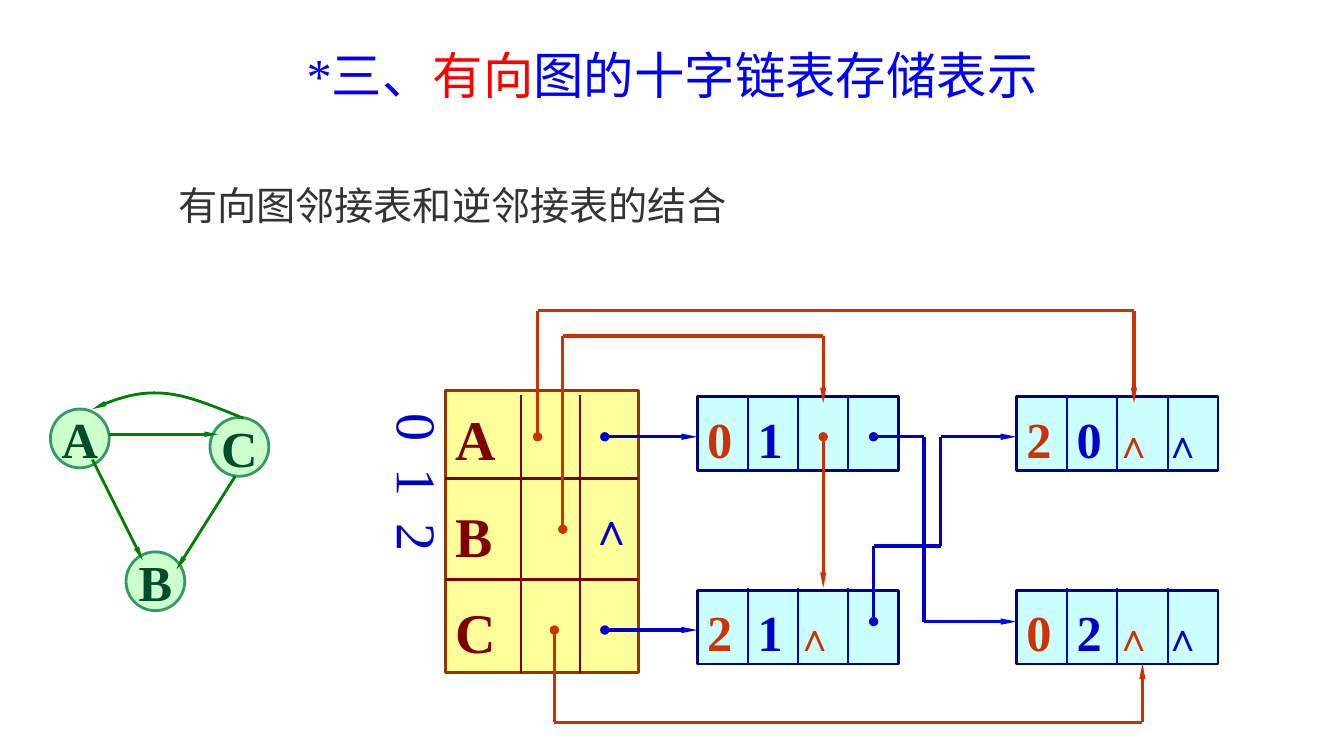
from itertools import pairwise

from lxml import etree
from pptx import Presentation
from pptx.dml.color import RGBColor
from pptx.enum.shapes import MSO_CONNECTOR, MSO_SHAPE
from pptx.enum.text import MSO_ANCHOR, MSO_AUTO_SIZE, PP_ALIGN
from pptx.oxml.ns import qn
from pptx.util import Inches, Pt

RECTANGLE, OVAL = MSO_SHAPE.RECTANGLE, MSO_SHAPE.OVAL
STRAIGHT = MSO_CONNECTOR.STRAIGHT
TOP, MIDDLE = MSO_ANCHOR.TOP, MSO_ANCHOR.MIDDLE
LEFT, CENTER = PP_ALIGN.LEFT, PP_ALIGN.CENTER
FIXED = MSO_AUTO_SIZE.NONE

WIDTH, HEIGHT = Inches(13.33), Inches(7.5)
COLUMNS, ROWS = 160, 90
FONT = "Times New Roman"
NIL = "∧"
COLORS = {
    "blue": "0000FF", "red": "FF0000", "gray": "333333",
    "vertex": "CCFFCC", "vertex_line": "339966", "vertex_text": "004C2B", "edge": "008000",
    "header": "FFFF99", "header_line": "993300", "header_text": "800000",
    "node": "CCFFFF", "node_line": "000080", "out": "0000CC", "in": "CC3300",
}


def x(column):
    """Convert a grid column to a length."""
    return int(WIDTH * column / COLUMNS)


def y(row):
    """Convert a grid row to a length."""
    return int(HEIGHT * row / ROWS)


def color(name):
    """Look up a colour by name."""
    return RGBColor.from_string(COLORS[name])


def add_runs(paragraph, runs, bold=False):
    """Add (text, size, colour) runs to a paragraph."""
    for text, size, name in runs:
        run = paragraph.add_run()
        run.text = text
        run.font.name, run.font.size, run.font.bold = FONT, Pt(size), bold
        run.font.color.rgb = color(name)


def set_tabs(paragraph, inches, count):
    """Set evenly spaced tab stops on a paragraph."""
    stops = etree.SubElement(paragraph._p.get_or_add_pPr(), qn("a:tabLst"))
    for index in range(1, count + 1):
        etree.SubElement(stops, qn("a:tab"), pos=str(Inches(inches * index)), algn="l")


def style_line(shape, name, width, head=None, tail=None):
    """Set a line's colour, width and ends."""
    shape.line.color.rgb = color(name)
    shape.line.width = Pt(width)
    outline = shape._element.spPr.find(qn("a:ln"))
    if head:
        etree.SubElement(outline, qn("a:headEnd"), type=head)
    if tail:
        etree.SubElement(outline, qn("a:tailEnd"), type=tail, w="sm", len="lg")


def add_route(slide, origin, points, name, width=2.25, head=None, tail=None):
    """Join grid points, relative to an origin, with straight connectors."""
    left, top = origin
    segments = list(pairwise(points))
    for index, (start, end) in enumerate(segments):
        connector = slide.shapes.add_connector(
            STRAIGHT, x(left + start[0]), y(top + start[1]), x(left + end[0]), y(top + end[1]))
        style_line(connector, name, width, head if index == 0 else None,
                   tail if index == len(segments) - 1 else None)
        etree.SubElement(connector._element.spPr, qn("a:effectLst"))


def add_box(slide, kind, box, fill, line, width):
    """Add a filled, outlined shape in a grid box."""
    left, top, columns, rows = box
    shape = slide.shapes.add_shape(kind, x(left), y(top), x(columns), y(rows))
    shape.shadow.inherit = False
    shape.fill.solid()
    shape.fill.fore_color.rgb = color(fill)
    style_line(shape, line, width)
    return shape


def fill_placeholder(shape, box, runs):
    """Place a heading placeholder and write its runs."""
    left, top, columns, rows = box
    shape.left, shape.top, shape.width, shape.height = x(left), y(top), x(columns), y(rows)
    frame = shape.text_frame
    frame.auto_size, frame.word_wrap, frame.vertical_anchor = FIXED, True, TOP
    paragraph = frame.paragraphs[0]
    paragraph.alignment, paragraph.space_before = LEFT, Pt(0)
    properties = paragraph._p.get_or_add_pPr()
    properties.set("marL", "0")
    properties.set("indent", "0")
    etree.SubElement(properties, qn("a:buNone"))
    add_runs(paragraph, runs)


def add_label(slide, box, text, size, bold=False, vertical=False):
    """Add a blue text box, optionally with vertical text."""
    left, top, columns, rows = box
    frame = slide.shapes.add_textbox(x(left), y(top), x(columns), y(rows)).text_frame
    frame.word_wrap = True
    paragraph = frame.paragraphs[0]
    if vertical:
        frame._txBody.bodyPr.set("vert", "eaVert")
        set_tabs(paragraph, 0.55, 2)
    add_runs(paragraph, [(text, size, "out")], bold)


def add_graph(slide, origin):
    """Draw the directed graph with its three vertices."""
    left, top = origin
    for label, column, row in (("A", 0, 2.2), ("B", 9, 19.2), ("C", 19, 3.2)):
        vertex = add_box(slide, OVAL, (left + column, top + row, 7, 7), "vertex", "vertex_line", 2)
        frame = vertex.text_frame
        frame.word_wrap, frame.vertical_anchor = False, MIDDLE
        frame.paragraphs[0].alignment = CENTER
        add_runs(frame.paragraphs[0], [(label, 36, "vertex_text")], True)
    for edge in (((5, 8.2), (11, 20.2)), ((7, 5.2), (20, 5.2)), ((22, 10.2), (15, 21.3))):
        add_route(slide, origin, edge, "edge", 2, tail="triangle")
    curves = (((23, 3.3), (19.5, 1.9), (16.1, 0.4), (13.1, 0.3)),
              ((13.1, 0.3), (10.1, 0.1), (7.5, 1.1), (5, 2.2)))
    steps = 12
    points = []
    for curve in curves:
        for step in range(steps + 1):
            t = step / steps
            weights = ((1 - t) ** 3, 3 * t * (1 - t) ** 2, 3 * t * t * (1 - t), t ** 3)
            column, row = (sum(w * point[axis] for w, point in zip(weights, curve))
                           for axis in (0, 1))
            points.append((x(left + column), y(top + row)))
    builder = slide.shapes.build_freeform(*points[0])
    builder.add_line_segments(points[1:], close=False)
    arc = builder.convert_to_shape()
    arc.shadow.inherit = False
    arc.fill.background()
    style_line(arc, "edge", 2, tail="triangle")


def add_header_table(slide, box):
    """Draw the vertex list with its dividers and indices."""
    left, top, columns, rows = box
    frame = add_box(slide, RECTANGLE, box, "header", "header_line", 2.25).text_frame
    frame.vertical_anchor, frame.margin_top = TOP, Inches(0.14)
    for index, label in enumerate("ABC"):
        paragraph = frame.add_paragraph() if index else frame.paragraphs[0]
        paragraph.alignment = LEFT
        paragraph.space_before = Pt(21 if index else 0)
        add_runs(paragraph, [(label, 40, "header_text")], True)
    for row in (10.5, 22.5):
        add_route(slide, (left, top), ((0, row), (columns, row)), "header_text")
    for column in (9, 16):
        add_route(slide, (left, top), ((column, 0.5), (column, rows)), "header_text", 1.5)
    add_label(slide, (left - 9, top + 1.5, 10.5, 30), "0\t1\t2", 40, vertical=True)
    add_label(slide, (left + 16, top + 12.5, 7.8, 7.6), NIL, 32, bold=True)


def add_arc_node(slide, left, top, tail, head, nils):
    """Draw one arc node: tail, head and its empty links."""
    columns, rows, cell = 24, 8.8, 6
    box = (left, top, columns, rows)
    frame = add_box(slide, RECTANGLE, box, "node", "node_line", 2).text_frame
    frame.vertical_anchor, frame.margin_top = TOP, Inches(0.11)
    paragraph = frame.paragraphs[0]
    paragraph.alignment = LEFT
    set_tabs(paragraph, 0.5, 1)
    links = [(" " + NIL, 28, name) for name in ("in", "out")[:nils]]
    add_runs(paragraph, [(tail, 36, "in"), ("\t" + head, 36, "out")], True)
    if links:
        add_runs(paragraph, [(" ", 36, "out"), (NIL, 28, "in")] + links[1:], True)
    for column in range(cell, columns, cell):
        add_route(slide, (left, top), ((column, -0.25), (column, rows)), "out", 1.5)


def add_links(slide, origin):
    """Draw the outgoing and incoming arc chains."""
    routes = (
        ("out", ((19, 15), (30, 15))),
        ("out", ((19, 38), (30, 38))),
        ("out", ((51, 37), (51, 28), (59, 28), (59, 15), (68, 15))),
        ("in", ((11, 15), (11, 0), (82, 0), (82, 11))),
        ("in", ((45, 15), (45, 33))),
        ("in", ((14, 26), (14, 3), (45, 3), (45, 11))),
        ("in", ((13, 38), (13, 49), (83, 49), (83, 42))),
    )
    for name, points in routes:
        add_route(slide, origin, points, name, head="oval", tail="triangle")
    add_route(slide, origin, ((51, 15), (57, 15), (57, 37)), "out", head="oval")
    add_route(slide, origin, ((57, 37), (68, 37)), "blue", tail="triangle")


def main():
    """Build and save the slide."""
    presentation = Presentation()
    presentation.slide_width, presentation.slide_height = WIDTH, HEIGHT
    slide = presentation.slides.add_slide(presentation.slide_layouts[1])
    title, body = slide.placeholders
    fill_placeholder(title, (35.3, 4.7, 94, 8.5), [
        ("*三、", 36, "blue"), ("有向", 36, "red"), ("图的十字链表存储表示", 36, "blue")])
    fill_placeholder(body, (20, 21, 69, 6.8), [("有向图邻接表和逆邻接表的结合", 28, "gray")])
    add_graph(slide, (6, 46.5))
    add_header_table(slide, (53, 46.5, 23, 33.6))
    nodes = ((("0", "1", 0), ("2", "0", 2)), (("2", "1", 1), ("0", "2", 2)))
    for row, pair in enumerate(nodes):
        for column, node in enumerate(pair):
            add_arc_node(slide, 83 + 38 * column, 47.25 + 23 * row, *node)
    add_links(slide, (53, 37))
    presentation.save("out.pptx")


if __name__ == "__main__":
    main()
